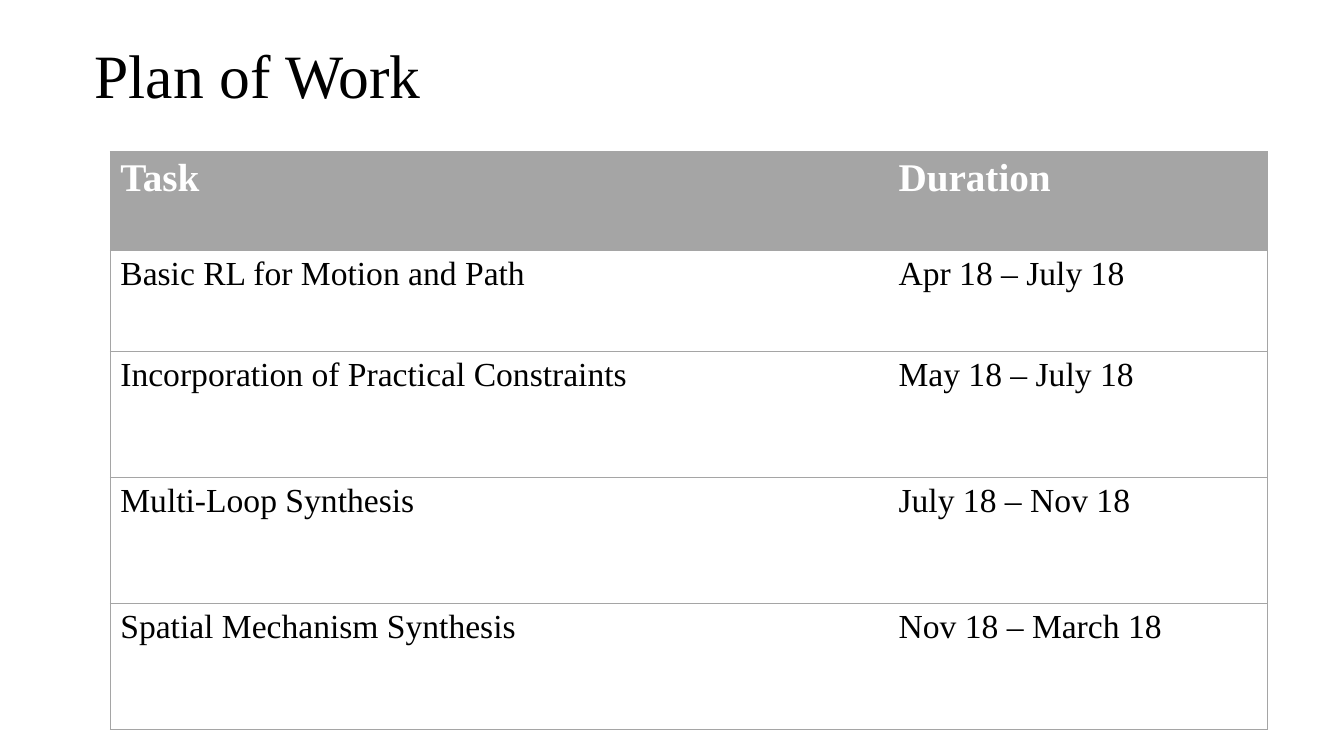
from lxml.etree import SubElement as Sub
from pptx import Presentation
from pptx.dml.color import RGBColor
from pptx.enum.text import MSO_ANCHOR as Anchor, PP_ALIGN as Align
from pptx.oxml.ns import qn
from pptx.util import Cm, Pt

PLAN = [
    ("Task", "Duration"),
    ("Basic RL for Motion and Path", "Apr 18 – July 18"),
    ("Incorporation of Practical Constraints", "May 18 – July 18"),
    ("Multi-Loop Synthesis", "July 18 – Nov 18"),
    ("Spatial Mechanism Synthesis", "Nov 18 – March 18"),
]
WIDTHS = [19.61, 9.55]
HEIGHTS = [2.49, 2.54, 3.18, 3.18, 3.18]


def paint(color):
    return RGBColor.from_string(color)


class Deck:
    face = "Times New Roman"
    ink = "000000"
    paper = "FFFFFF"
    gray = "A5A5A5"

    def __init__(self):
        self.prs = Presentation()
        self.prs.slide_width, self.prs.slide_height = Cm(33.87), Cm(19.05)
        self.slide = self.prs.slides.add_slide(self.prs.slide_layouts[5])

    def style(self, para, size, color, bold=False):
        font = para.font
        font.name, font.size, font.bold = self.face, Pt(size), bold
        font.color.rgb = paint(color)

    def title(self, text, left, top, width, height):
        box = self.slide.shapes.title
        box.left, box.top = Cm(left), Cm(top)
        box.width, box.height = Cm(width), Cm(height)
        frame = box.text_frame
        frame.text = text
        frame.vertical_anchor = Anchor.MIDDLE
        para = frame.paragraphs[0]
        para.alignment, para.line_spacing = Align.LEFT, 0.9
        self.style(para, 44, self.ink)

    def border(self, cell, sides):
        """Rule the given sides of a cell and clear the others."""
        props = cell._tc.get_or_add_tcPr()
        for side in "LRTB":
            line = Sub(props, qn(f"a:ln{side}"), w=str(Pt(0.5)))
            if side in sides:
                fill = Sub(line, qn("a:solidFill"))
                Sub(fill, qn("a:srgbClr"), val=self.gray)
            else:
                Sub(line, qn("a:noFill"))

    def cell(self, cell, text, head, sides):
        self.border(cell, sides)
        cell.text = text
        para = cell.text_frame.paragraphs[0]
        if head:
            cell.fill.solid()
            cell.fill.fore_color.rgb = paint(self.gray)
            self.style(para, 28, self.paper, True)
        else:
            cell.fill.background()
            self.style(para, 24, self.ink)

    def table(self, rows, left, top, widths, heights):
        grid = self.slide.shapes.add_table(
            len(rows), len(widths), Cm(left), Cm(top),
            Cm(sum(widths)), Cm(sum(heights))).table
        for col, width in zip(grid.columns, widths):
            col.width = Cm(width)
        for row, height, texts in zip(grid.rows, heights, rows):
            row.height = Cm(height)
            for cell, text, edge in zip(row.cells, texts, "LR"):
                self.cell(cell, text, texts is rows[0], edge + "TB")


def main():
    deck = Deck()
    deck.title("Plan of Work", 2.13, 0.13, 29.21, 3.68)
    deck.table(PLAN, 2.78, 3.82, WIDTHS, HEIGHTS)
    deck.prs.save("out.pptx")


if __name__ == "__main__":
    main()
